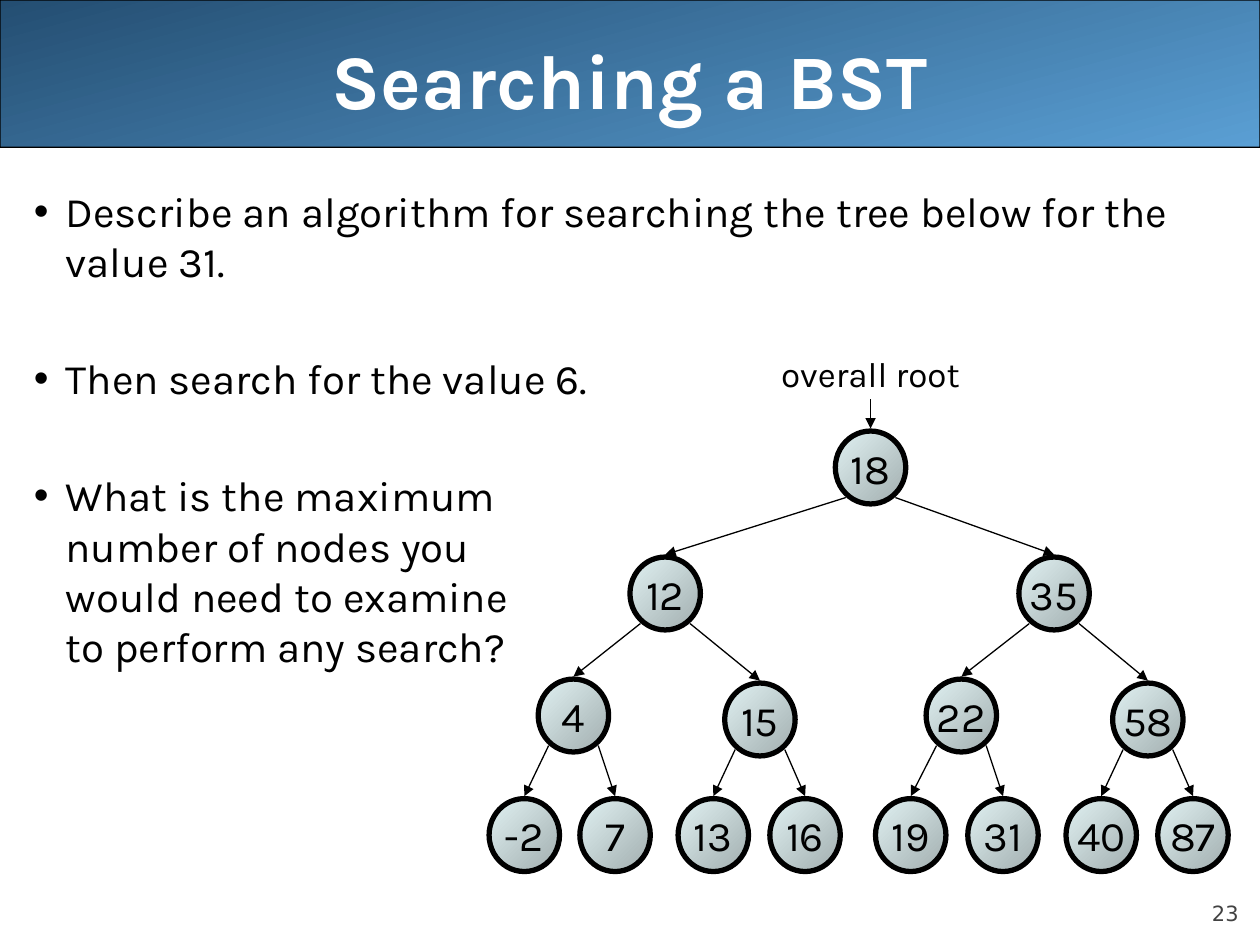
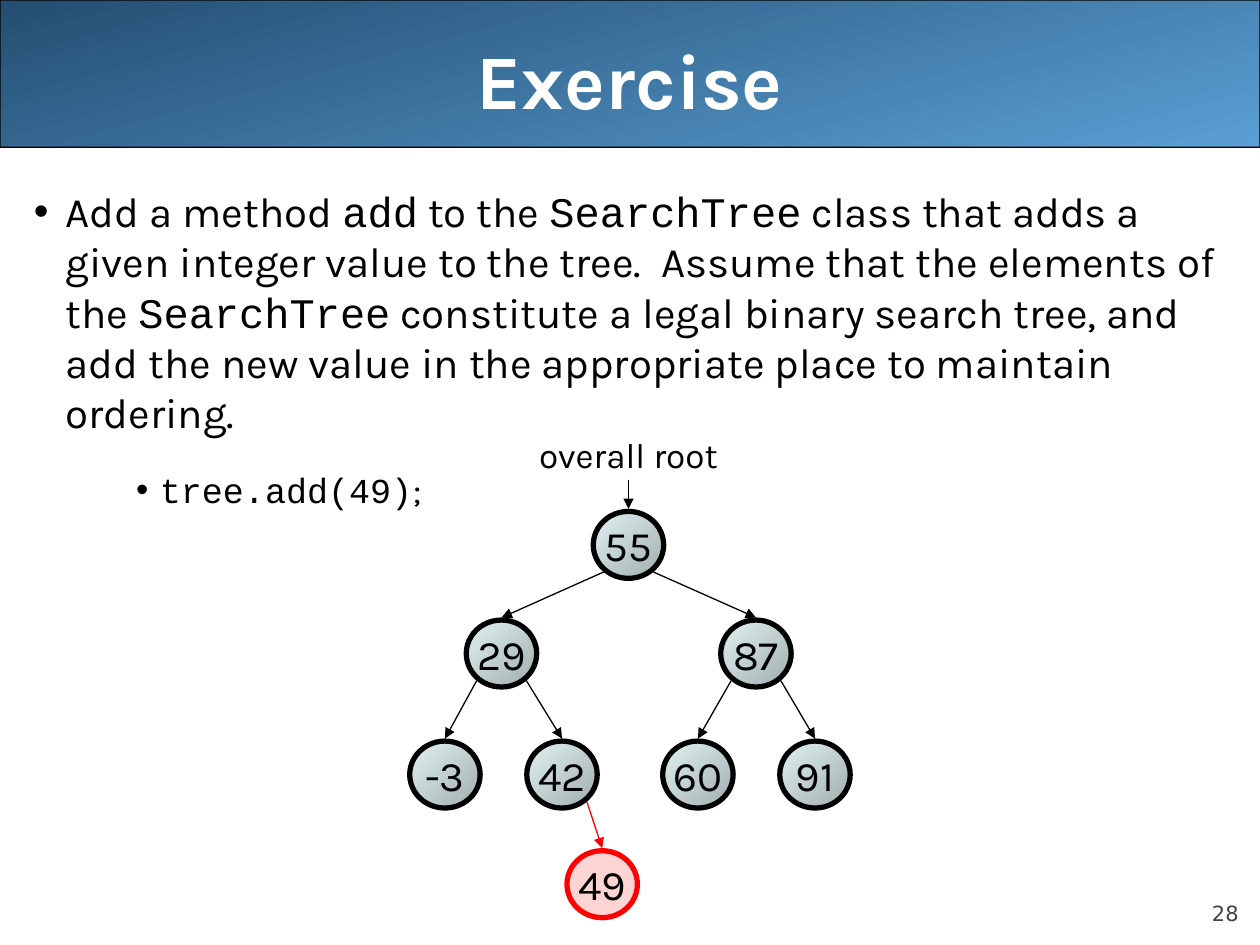
from dataclasses import dataclass

from lxml import etree
from pptx import Presentation
from pptx.dml.color import RGBColor
from pptx.enum import shapes, text
from pptx.oxml import ns
from pptx.util import Cm, Pt


@dataclass(frozen=True)
class Theme:
    font: str = "Karla"
    code_font: str = "Courier New"
    number_font: str = "DejaVu Sans"
    ink: str = "000000"
    white: str = "FFFFFF"
    grey: str = "424242"
    red: str = "FF0000"
    pink: str = "FCD4D4"
    band: tuple = ("244E72", "5A9FD4")
    node: tuple = ("A1ADAE", "E1F2F3")
    title_size: int = 44
    body_size: int = 24
    small_size: int = 20
    number_size: int = 12


T = Theme()

# Bullets: (level, space before, text); backticks mark code.
# Nodes: heap index -> (value, centre x, top); children of i are 2i and 2i + 1.
SLIDES = [
    {
        "title": "Searching a BST",
        "number": 23,
        "bullets": [
            (0, 6, "Describe an algorithm for searching the tree below for the value 31."),
            (0, 38, "Then search for the value 6."),
            (0, 38, "What is the maximum\nnumber of nodes you\n"
                    "would need to examine\nto perform any search?"),
        ],
        "node_height": 1.47,
        "nodes": {
            1: ("18", 17.55, 8.69),
            2: ("12", 13.41, 11.23), 3: ("35", 21.25, 11.23),
            4: ("4", 11.56, 13.69), 5: ("15", 15.32, 13.77),
            6: ("22", 19.38, 13.69), 7: ("58", 23.14, 13.77),
            8: ("-2", 10.57, 16.1), 9: ("7", 12.4, 16.1),
            10: ("13", 14.38, 16.1), 11: ("16", 16.23, 16.1),
            12: ("19", 18.36, 16.1), 13: ("31", 20.22, 16.1),
            14: ("40", 22.2, 16.1), 15: ("87", 24.05, 16.1),
        },
        "added": [],
    },
    {
        "title": "Exercise",
        "number": 28,
        "bullets": [
            (0, 6, "Add a method `add` to the `SearchTree` class that adds a given "
                   "integer value to the tree.  Assume that the elements of the "
                   "`SearchTree` constitute a legal binary search tree, and add the "
                   "new value in the appropriate place to maintain ordering."),
            (2, 18, "`tree.add(49)`;"),
        ],
        "node_height": 1.35,
        "nodes": {
            1: ("55", 12.67, 10.31),
            2: ("29", 10.11, 12.5), 3: ("87", 15.24, 12.5),
            4: ("-3", 8.97, 14.94), 5: ("42", 11.33, 14.94),
            6: ("60", 14.07, 14.94), 7: ("91", 16.43, 14.94),
            11: ("49", 12.14, 17.15),
        },
        "added": [11],
    },
]

NODE_WIDTH = 1.42
ROOT_LABEL = "overall root"
# level -> (left margin, first-line indent, type size)
LEVELS = {0: (0.64, -0.64, T.body_size), 2: (2.54, -0.48, T.small_size)}


def rgb(color):
    return RGBColor.from_string(color)


def write(p, content, size=T.body_size, color=T.ink, font=T.font, bold=False,
          align=None, before=0):
    """Fill a paragraph; text between backticks takes the code font."""
    p.alignment = align
    p.space_before = Pt(before)
    for i, part in enumerate(content.split("`")):
        for j, line in enumerate(part.split("\n")):
            if j:
                p.add_line_break()
            if line:
                r = p.add_run()
                r.text = line
                r.font.name = T.code_font if i % 2 else font
                r.font.size = Pt(size)
                r.font.bold = bold
                r.font.color.rgb = rgb(color)


def place(sp, left, top, width, height):
    sp.left, sp.top, sp.width, sp.height = map(Cm, (left, top, width, height))


def paint(sp, fill, line, weight, angle=0):
    sp.shadow.inherit = False
    if isinstance(fill, tuple):
        sp.fill.gradient()
        sp.fill.gradient_angle = angle
        for stop, color in zip(sp.fill.gradient_stops, fill):
            stop.color.rgb = rgb(color)
    else:
        sp.fill.solid()
        sp.fill.fore_color.rgb = rgb(fill)
    sp.line.color.rgb = rgb(line)
    sp.line.width = Pt(weight)


def add_bullet(p, level):
    left, indent, _ = LEVELS[level]
    p.level = level
    pPr = p._p.get_or_add_pPr()
    pPr.set("marL", str(Cm(left)))
    pPr.set("indent", str(Cm(indent)))
    color = etree.SubElement(pPr, ns.qn("a:buClr"))
    etree.SubElement(color, ns.qn("a:srgbClr"), val=T.ink)
    etree.SubElement(pPr, ns.qn("a:buChar"), char="•")


def add_arrow(parts, x1, y1, x2, y2, color):
    c = parts.add_connector(shapes.MSO_CONNECTOR.STRAIGHT, *map(Cm, (x1, y1, x2, y2)))
    c.line.color.rgb = rgb(color)
    c.line.width = Pt(0.75)
    etree.SubElement(c.line._get_or_add_ln(), ns.qn("a:tailEnd"), type="triangle")
    etree.SubElement(c._element.spPr, ns.qn("a:effectLst"))


def add_node(parts, value, x, top, height, fill, line):
    sp = parts.add_shape(shapes.MSO_SHAPE.OVAL, Cm(x - NODE_WIDTH / 2), Cm(top),
                         Cm(NODE_WIDTH), Cm(height))
    paint(sp, fill, line, 3, angle=135)
    tf = sp.text_frame
    tf.word_wrap = False
    tf.vertical_anchor = text.MSO_ANCHOR.MIDDLE
    write(tf.paragraphs[0], value, align=text.PP_ALIGN.CENTER)


def add_tree(s, nodes, height, added):
    parts = s.shapes.add_group_shape().shapes
    for i, (value, x, top) in nodes.items():
        new = i in added
        line = T.red if new else T.ink
        add_node(parts, value, x, top, height, T.pink if new else T.node, line)
        if i == 1:
            start = x, top - 0.64
        else:
            _, parent_x, parent_top = nodes[i // 2]
            side = 0.5 if i % 2 else -0.5
            start = parent_x + side, parent_top + height - 0.13
        add_arrow(parts, *start, x, top - 0.05, line)

    _, x, top = nodes[1]
    label = parts.add_textbox(Cm(x - 2.16), Cm(top - 1.7), Cm(4.32), Cm(1.12))
    label.text_frame.word_wrap = False
    write(label.text_frame.paragraphs[0], ROOT_LABEL, size=T.small_size,
          align=text.PP_ALIGN.CENTER)


def add_frame(s, title, number):
    """Add the band, the title and the slide number."""
    band = s.shapes.add_shape(shapes.MSO_SHAPE.ROUNDED_RECTANGLE, 0, 0, Cm(25.4), Cm(2.97))
    band.adjustments[0] = 0.001
    paint(band, T.band, T.ink, 0.75, angle=285)
    s.shapes._spTree.insert(2, band._element)

    place(s.shapes.title, 1.27, 0, 22.86, 3.18)
    tf = s.shapes.title.text_frame
    tf.auto_size = text.MSO_AUTO_SIZE.NONE
    tf.vertical_anchor = text.MSO_ANCHOR.MIDDLE
    write(tf.paragraphs[0], title, size=T.title_size, color=T.white, bold=True,
          align=text.PP_ALIGN.CENTER)

    tf = s.shapes.add_textbox(Cm(22.86), Cm(17.65), Cm(2.11), Cm(1.02)).text_frame
    tf.word_wrap = True
    tf.margin_left = tf.margin_right = tf.margin_top = tf.margin_bottom = 0
    tf.vertical_anchor = text.MSO_ANCHOR.BOTTOM
    write(tf.paragraphs[0], str(number), size=T.number_size, color=T.grey,
          font=T.number_font, align=text.PP_ALIGN.RIGHT)


def add_bullets(s, bullets):
    body = s.placeholders[1]
    place(body, 0.43, 3.61, 24.97, 14.4)
    tf = body.text_frame
    tf.auto_size = text.MSO_AUTO_SIZE.NONE
    for i, (level, before, content) in enumerate(bullets):
        p = tf.add_paragraph() if i else tf.paragraphs[0]
        add_bullet(p, level)
        write(p, content, size=LEVELS[level][2], before=before if i else 0)


def main():
    prs = Presentation()
    prs.slide_width, prs.slide_height = Cm(25.4), Cm(19.05)
    for data in SLIDES:
        s = prs.slides.add_slide(prs.slide_layouts[1])
        add_frame(s, data["title"], data["number"])
        add_bullets(s, data["bullets"])
        add_tree(s, data["nodes"], data["node_height"], data["added"])
    prs.save("out.pptx")


if __name__ == "__main__":
    main()
